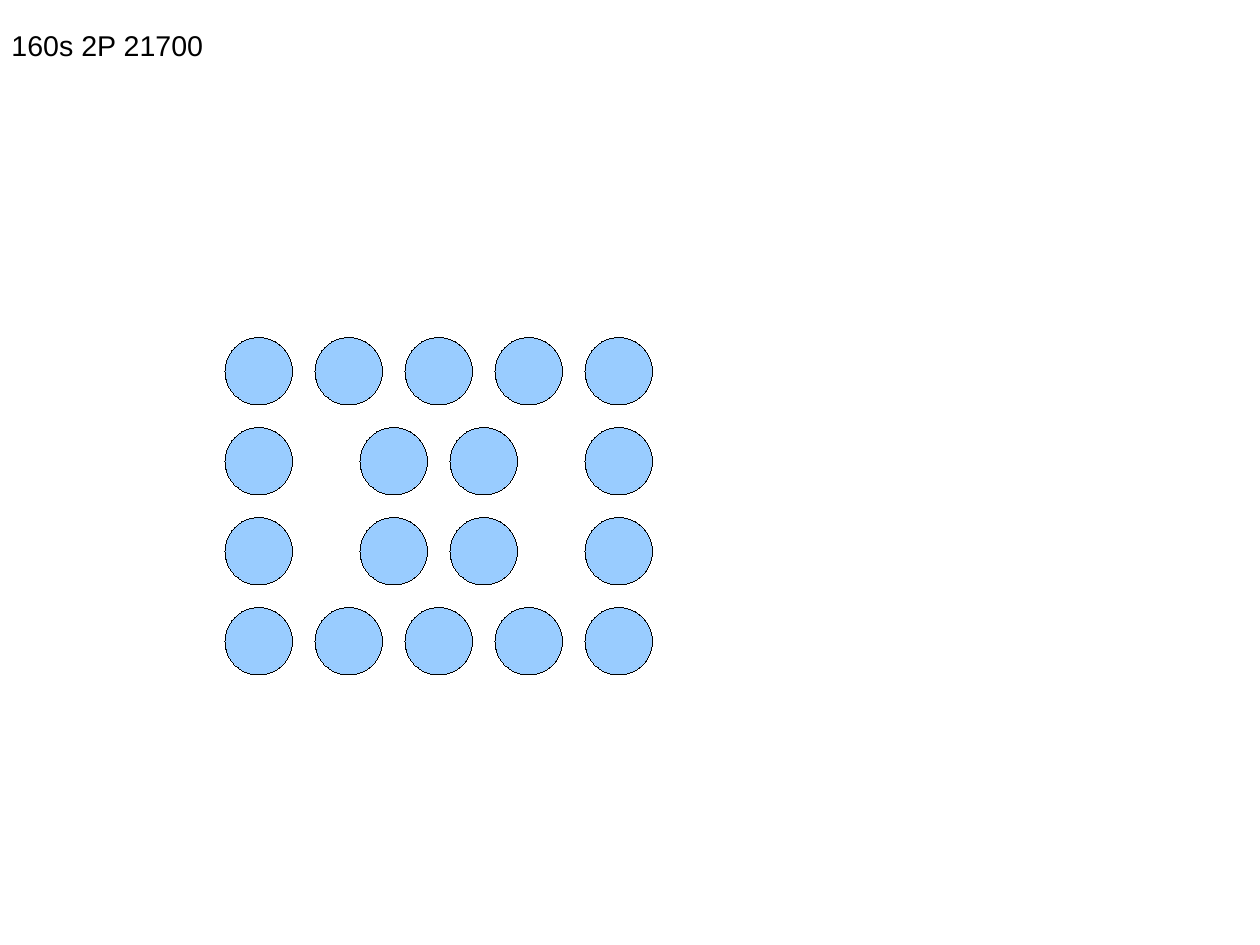
from dataclasses import dataclass

from pptx import Presentation
from pptx.dml.color import RGBColor
from pptx.enum.shapes import MSO_SHAPE
from pptx.enum.text import MSO_ANCHOR, MSO_AUTO_SIZE, PP_ALIGN
from pptx.slide import Slide
from pptx.util import Inches, Pt

ELLIPSE = MSO_SHAPE.OVAL
TOP = MSO_ANCHOR.TOP
GROW = MSO_AUTO_SIZE.SHAPE_TO_FIT_TEXT
LEFT = PP_ALIGN.LEFT
TITLE_ONLY = 5


@dataclass(frozen=True)
class Theme:
    font: str = "Arial"
    title_size: float = 18
    ink: RGBColor = RGBColor(0, 0, 0)
    cell_fill: RGBColor = RGBColor(0x99, 0xCC, 0xFF)
    outline: int = 0


@dataclass(frozen=True)
class Cell:
    column: float
    row: int


THEME = Theme()
CM = 1 / 2.54
PAGE_WIDTH, PAGE_HEIGHT = 28 * CM, 21 * CM
PACK_LEFT, PACK_TOP = 5 * CM, 7.5 * CM
DIAMETER = 1.5 * CM
PITCH = 2 * CM
OUTER_ROW = (0, 1, 2, 3, 4)
INNER_ROW = (0, 1.5, 2.5, 4)
PACK_ROWS = (OUTER_ROW, INNER_ROW, INNER_ROW, OUTER_ROW)
CELLS = [Cell(column, row) for row, columns in enumerate(PACK_ROWS) for column in columns]


def write_title(slide: Slide, wording: str) -> None:
    title = slide.shapes.title
    title.left, title.top = Inches(0), Inches(0.19)
    title.width, title.height = Inches(1.97), Inches(0.38)
    frame = title.text_frame
    frame.text = wording
    frame.word_wrap = True
    frame.auto_size = GROW
    frame.vertical_anchor = TOP
    frame.margin_left = frame.margin_right = Inches(0.1)
    frame.margin_top = frame.margin_bottom = Inches(0.05)
    paragraph = frame.paragraphs[0]
    paragraph.alignment = LEFT
    font = paragraph.runs[0].font
    font.name = THEME.font
    font.size = Pt(THEME.title_size)
    font.color.rgb = THEME.ink


def draw_cell(slide: Slide, cell: Cell) -> None:
    battery = slide.shapes.add_shape(
        ELLIPSE,
        Inches(PACK_LEFT + cell.column * PITCH),
        Inches(PACK_TOP + cell.row * PITCH),
        Inches(DIAMETER),
        Inches(DIAMETER),
    )
    battery.shadow.inherit = False
    battery.fill.solid()
    battery.fill.fore_color.rgb = THEME.cell_fill
    battery.line.color.rgb = THEME.ink
    battery.element.spPr.get_or_add_ln().set("w", str(THEME.outline))


def main() -> None:
    deck = Presentation()
    deck.slide_width, deck.slide_height = Inches(PAGE_WIDTH), Inches(PAGE_HEIGHT)
    slide = deck.slides.add_slide(deck.slide_layouts[TITLE_ONLY])
    write_title(slide, "160s 2P 21700")
    for cell in CELLS:
        draw_cell(slide, cell)
    deck.save("out.pptx")


if __name__ == "__main__":
    main()
